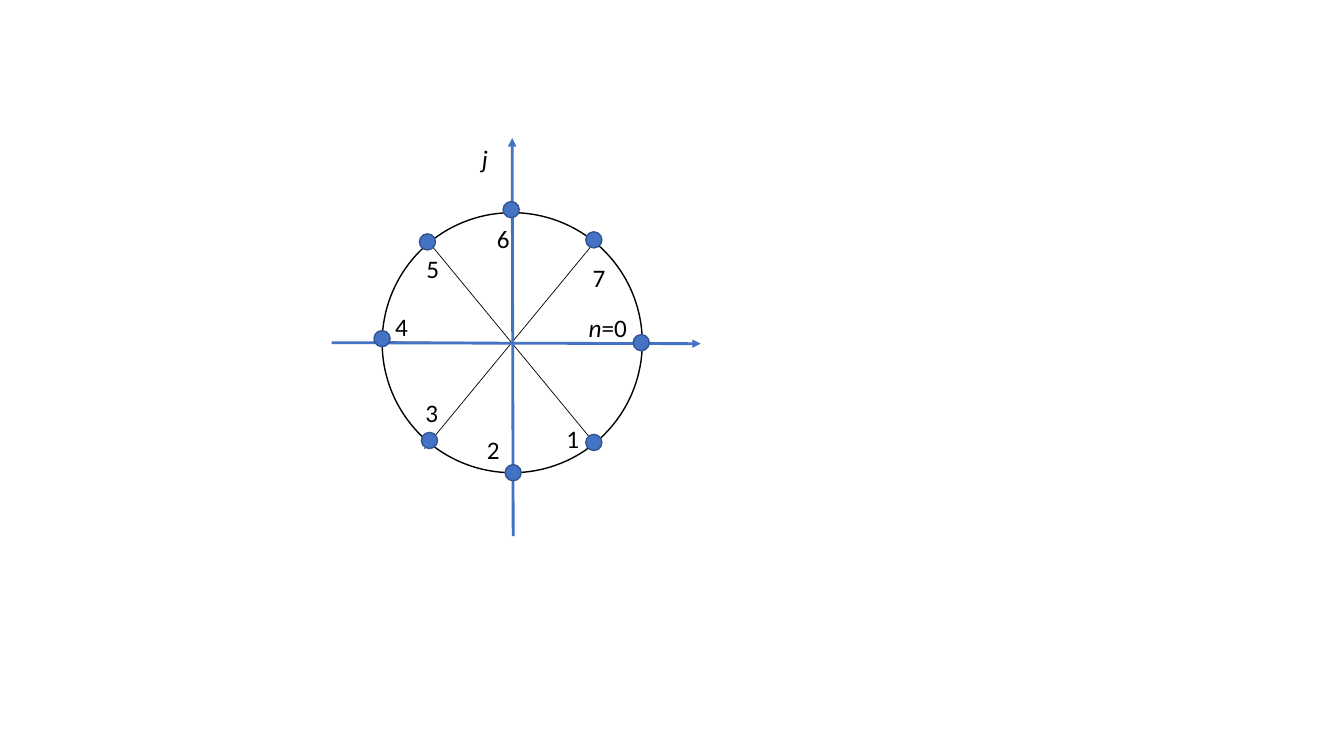
from dataclasses import dataclass

from lxml import etree
from pptx import Presentation
from pptx.dml.color import RGBColor
from pptx.enum.shapes import MSO_CONNECTOR, MSO_SHAPE
from pptx.oxml.ns import qn
from pptx.util import Inches, Pt

OVAL = MSO_SHAPE.OVAL
LINE = MSO_CONNECTOR.STRAIGHT
BLACK, BLUE, NAVY = "000000", "4472C4", "325491"
CELL = Inches(0.1)  # grid of 133.3 columns by 75 rows


@dataclass
class Ray:
    x1: float
    y1: float
    x2: float
    y2: float


@dataclass
class Point:
    """A root on the circle: dot centre and label corner."""
    x: float
    y: float
    text: str
    left: float
    top: float


MID_X, MID_Y, RADIUS = 50.8, 34.0, 12.9
DOT = 0.8  # dot radius

SPOKES = [
    Ray(50.8, 19.5, 50.8, 48.4),
    Ray(64.6, 34.1, 37.0, 33.9),
    Ray(59.4, 23.5, 42.1, 44.5),
    Ray(59.4, 44.5, 42.1, 23.5),
]
AXES = [Ray(32.9, 34.0, 69.5, 34.1), Ray(50.9, 53.2, 50.8, 13.7)]
POINTS = [
    Point(63.6, 34.0, "=0", 57.4, 30.5),
    Point(58.9, 43.9, "1", 55.2, 41.5),
    Point(50.9, 46.9, "2", 47.3, 42.6),
    Point(42.6, 43.7, "3", 41.2, 38.9),
    Point(37.9, 33.6, "4", 38.2, 30.4),
    Point(42.4, 24.0, "5", 41.3, 24.6),
    Point(50.7, 20.8, "6", 48.3, 21.7),
    Point(58.9, 23.8, "7", 57.8, 25.5),
]


def cells(count: float) -> int:
    return round(count * CELL)


def paint(color: str) -> RGBColor:
    return RGBColor.from_string(color)


def disc(slide, x: float, y: float, radius: float, line: str, fill: str = "") -> None:
    size = cells(2 * radius)
    shape = slide.shapes.add_shape(
        OVAL, cells(x - radius), cells(y - radius), size, size)
    shape.shadow.inherit = False
    if fill:
        shape.fill.solid()
        shape.fill.fore_color.rgb = paint(fill)
    else:
        shape.fill.background()
    shape.line.color.rgb = paint(line)
    shape.line.width = Pt(1)


def rule(slide, ray: Ray, color: str, width: float, arrow: bool = False) -> None:
    link = slide.shapes.add_connector(
        LINE, cells(ray.x1), cells(ray.y1), cells(ray.x2), cells(ray.y2))
    link.line.color.rgb = paint(color)
    link.line.width = Pt(width)
    props = link.element.spPr
    if arrow:
        etree.SubElement(props.find(qn("a:ln")), qn("a:tailEnd"), type="triangle")
    etree.SubElement(props, qn("a:effectLst"))


def write(slide, left: float, top: float, text: str, *, lead: str = "",
          width: float = 3.5, size: float = 18, color: str = BLACK) -> None:
    """Add a label; the lead part is set in italics."""
    box = slide.shapes.add_textbox(
        cells(left), cells(top), cells(width), cells(4))
    frame = box.text_frame
    frame.word_wrap = True
    for part, slant in ((lead, True), (text, False)):
        if part:
            run = frame.paragraphs[0].add_run()
            run.text = part
            run.font.name = "Calibri"
            run.font.size = Pt(size)
            run.font.italic = slant
            run.font.color.rgb = paint(color)


def main() -> None:
    deck = Presentation()
    deck.slide_width, deck.slide_height = Inches(13.33), Inches(7.5)
    slide = deck.slides.add_slide(deck.slide_layouts[6])

    # Unit circle, spokes and axes
    disc(slide, MID_X, MID_Y, RADIUS, BLACK)
    for ray in SPOKES:
        rule(slide, ray, BLACK, 0.5)
    for ray in AXES:
        rule(slide, ray, BLUE, 2, arrow=True)
    write(slide, 46.8, 13.7, "", lead="j")

    # Numbered roots
    for point in POINTS:
        disc(slide, point.x, point.y, DOT, NAVY, BLUE)
    for point in POINTS:
        first = point is POINTS[0]
        write(slide, point.left, point.top, point.text,
              lead="n" if first else "", width=6.5 if first else 3.5)

    deck.save("out.pptx")


if __name__ == "__main__":
    main()
